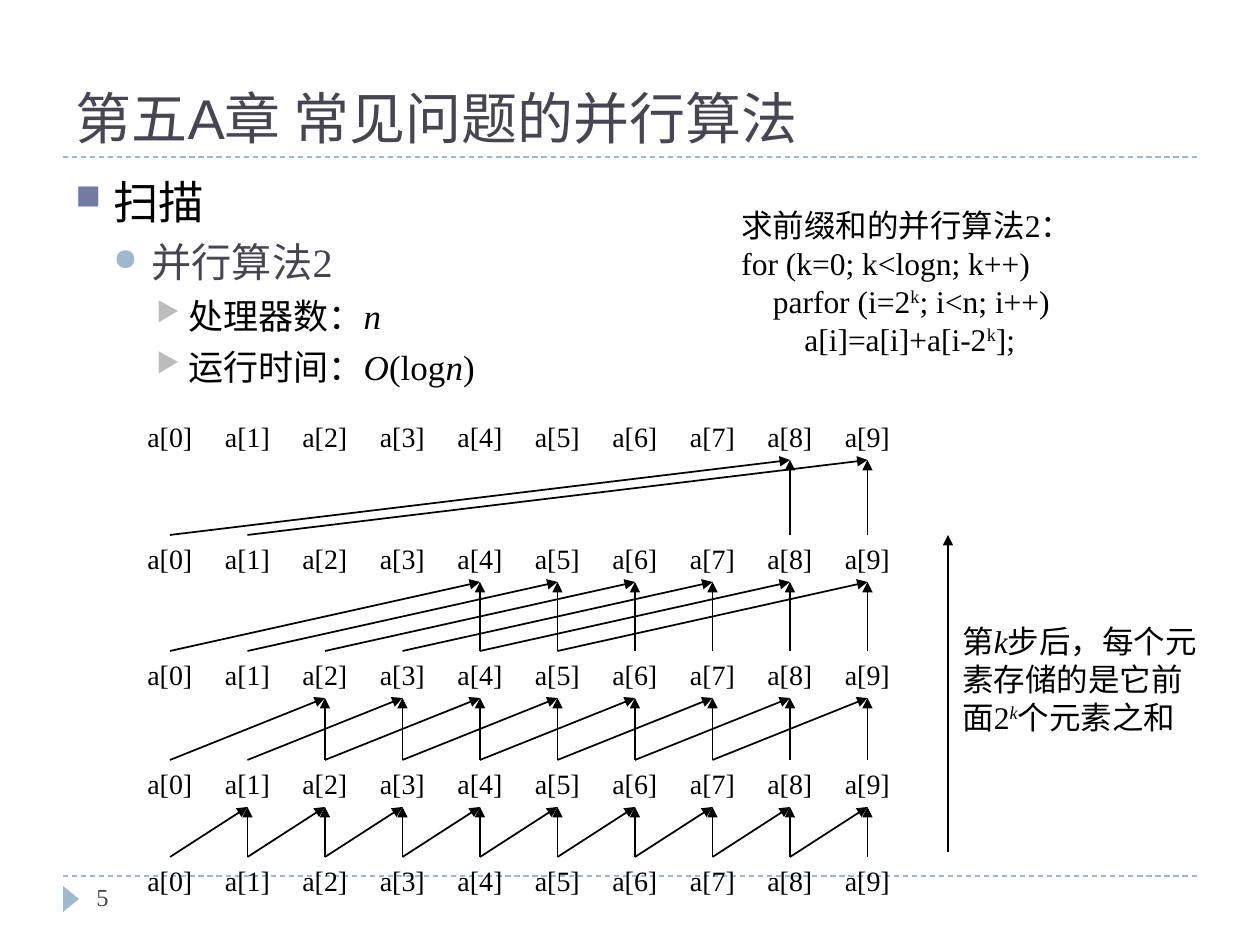
from lxml import etree
from pptx import Presentation
from pptx.dml.color import RGBColor
from pptx.enum.dml import MSO_LINE
from pptx.enum.shapes import MSO_CONNECTOR, MSO_SHAPE
from pptx.enum.text import MSO_ANCHOR, MSO_AUTO_SIZE
from pptx.oxml.ns import qn
from pptx.util import Emu, Pt

STRAIGHT = MSO_CONNECTOR.STRAIGHT
TRIANGLE = MSO_SHAPE.ISOSCELES_TRIANGLE
DASH = MSO_LINE.DASH
BOTTOM = MSO_ANCHOR.BOTTOM
GROW = MSO_AUTO_SIZE.SHAPE_TO_FIT_TEXT

BLACK, SLATE, INDIGO, SKY, GREY = "000000", "464653", "727CA3", "9FB8CD", "BCBCBC"
SERIF, SANS = "Times New Roman", "Arial"

# Runs are (text, style); style "i" is italic, "^" is superscript.
TITLE = [[("第五A章 常见问题的并行算法", "")]]
PAGE_NUMBER = [[("5", "")]]
OUTLINE = [  # level, runs
    (0, [("扫描", "")]),
    (1, [("并行算法2", "")]),
    (2, [("处理器数：", ""), ("n", "i")]),
    (2, [("运行时间：", ""), ("O", "i"), ("(log", ""), ("n", "i"), (")", "")]),
]
LEVELS = [  # bullet, bullet colour, text size, text colour, margin, hanging, space before
    ("■", INDIGO, 26, BLACK, 38, 38, 0),
    ("●", SKY, 23, SLATE, 76, 38, 5),
    ("▶", GREY, 20, BLACK, 113, 32, 5),
]
ALGORITHM = [
    [("求前缀和的并行算法2：", "")],
    [("for (k=0; k<logn; k++)", "")],
    [("    parfor (i=2", ""), ("k", "^"), ("; i<n; i++)", "")],
    [("        a[i]=a[i]+a[i-2", ""), ("k", "^"), ("];", "")],
]
STEP_NOTE = [[("第", ""), ("k", "i"), ("步后，每个元素存储的是它前面2", ""),
              ("k", "i^"), ("个元素之和", "")]]

ELEMENTS = 10
ROW_TOPS = [857, 760, 651, 535, 413]  # first step at the bottom
FIRST_CENTRE, COLUMN_STEP = 170, 77.5
LABEL_W, LABEL_H = 70, 47


def px(value):
    return Emu(round(value * 914400 / 126))


def rgb(value):
    return RGBColor.from_string(value)


def fill_runs(paragraph, runs, size, colour, font):
    for text, style in runs:
        run = paragraph.add_run()
        run.text = text
        formats = {"name": font, "size": Pt(size), "italic": "i" in style}
        for attribute, value in formats.items():
            setattr(run.font, attribute, value)
        run.font.color.rgb = rgb(colour)
        if "^" in style:
            run.font._element.set("baseline", "30000")


def add_frame(slide, left, top, width, height, **formats):
    frame = slide.shapes.add_textbox(px(left), px(top), px(width), px(height)).text_frame
    for attribute, value in {"word_wrap": True, **formats}.items():
        setattr(frame, attribute, value)
    return frame


def next_paragraph(frame, index):
    return frame.add_paragraph() if index else frame.paragraphs[0]


def add_text(slide, box, paragraphs, size, colour=BLACK, font=SERIF, **formats):
    frame = add_frame(slide, *box, **formats)
    for index, runs in enumerate(paragraphs):
        fill_runs(next_paragraph(frame, index), runs, size, colour, font)


def set_bullet(paragraph, char, colour, margin, hanging):
    properties = paragraph._p.get_or_add_pPr()
    properties.set("marL", str(px(margin)))
    properties.set("indent", str(-px(hanging)))
    bullet_colour = etree.SubElement(properties, qn("a:buClr"))
    etree.SubElement(bullet_colour, qn("a:srgbClr"), val=colour)
    etree.SubElement(properties, qn("a:buSzPct"), val="76000")
    etree.SubElement(properties, qn("a:buChar"), char=char)


def add_outline(slide):
    frame = add_frame(slide, 63, 168, 1134, 680)
    for index, (level, runs) in enumerate(OUTLINE):
        char, bullet_colour, size, colour, margin, hanging, space = LEVELS[level]
        paragraph = next_paragraph(frame, index)
        paragraph.level = level
        set_bullet(paragraph, char, bullet_colour, margin, hanging)
        paragraph.space_before = Pt(space)
        fill_runs(paragraph, runs, size, colour, SERIF)


def add_line(slide, start, end, colour=BLACK, width=1):
    connector = slide.shapes.add_connector(STRAIGHT, *map(px, start + end))
    connector.line.color.rgb = rgb(colour)
    connector.line.width = Pt(width)
    etree.SubElement(connector._element.spPr, qn("a:effectLst"))
    return connector


def add_arrow(slide, start, end):
    line = add_line(slide, start, end).line
    etree.SubElement(line._get_or_add_ln(), qn("a:tailEnd"), type="triangle")


def add_scan_diagram(slide):
    """Step k joins each element i >= 2^k to itself and to element i - 2^k below."""
    centres = [FIRST_CENTRE + COLUMN_STEP * i for i in range(ELEMENTS)]
    for top in ROW_TOPS:
        for i, centre in enumerate(centres):
            add_text(slide, (centre - LABEL_W / 2, top, LABEL_W, LABEL_H),
                     [[(f"a[{i}]", "")]], 16, word_wrap=False, auto_size=GROW)
    for k, (lower, upper) in enumerate(zip(ROW_TOPS, ROW_TOPS[1:])):
        stride = 2 ** k
        for i in range(stride, ELEMENTS):
            for origin in (i, i - stride):
                add_arrow(slide, (centres[origin], lower), (centres[i], upper + LABEL_H))


def add_decoration(slide):
    for y in (876, 157):
        add_line(slide, (63, y), (1197, y), SKY, 0.75).line.dash_style = DASH
    marker = slide.shapes.add_shape(TRIANGLE, px(58), px(891), px(26), px(16))
    marker.rotation = 90
    marker.shadow.inherit = False
    marker.fill.solid()
    marker.fill.fore_color.rgb = rgb(SKY)
    marker.line.fill.background()


def main():
    presentation = Presentation()
    presentation.slide_width, presentation.slide_height = px(1260), px(945)
    slide = presentation.slides.add_slide(presentation.slide_layouts[6])
    add_decoration(slide)
    add_text(slide, (63, 21, 1134, 136), TITLE, 32, SLATE, SANS, vertical_anchor=BOTTOM)
    add_outline(slide)
    add_text(slide, (84, 876, 273, 50), PAGE_NUMBER, 14, SLATE)
    add_scan_diagram(slide)
    add_text(slide, (950, 616, 263, 127), STEP_NOTE, 18, auto_size=GROW)
    add_arrow(slide, (948, 852), (948, 535))
    add_text(slide, (729, 200, 410, 165), ALGORITHM, 18, auto_size=GROW)
    presentation.save("out.pptx")


if __name__ == "__main__":
    main()
